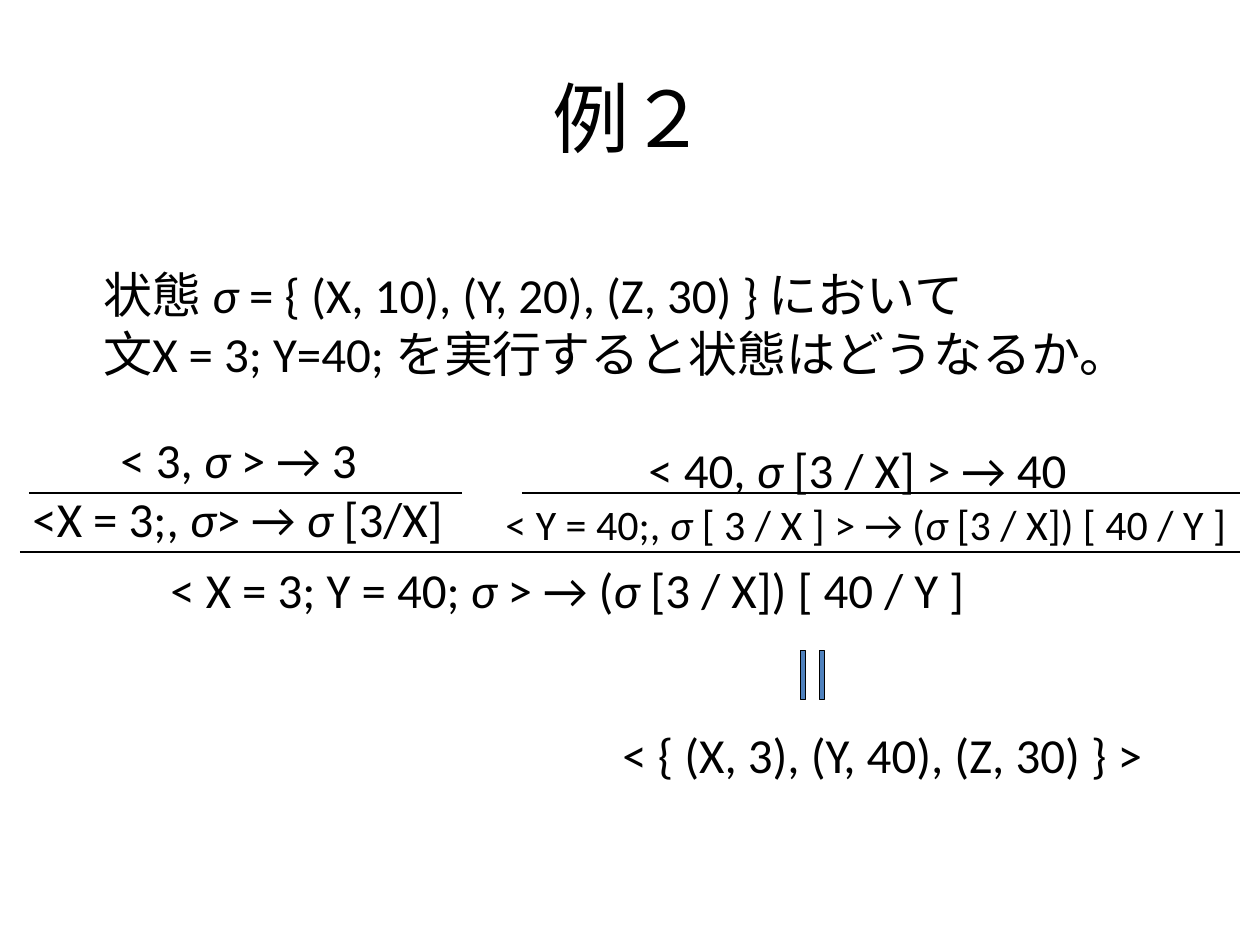
"""Build the slide that derives the state after two assignments."""
from lxml import etree
from pptx import Presentation
from pptx.dml.color import RGBColor
from pptx.enum.shapes import MSO_CONNECTOR, MSO_SHAPE
from pptx.enum.text import MSO_ANCHOR, PP_ALIGN
from pptx.oxml.ns import qn
from pptx.util import Emu, Pt

STRAIGHT = MSO_CONNECTOR.STRAIGHT
EQUAL_SIGN = MSO_SHAPE.MATH_EQUAL
TOP, MIDDLE = MSO_ANCHOR.TOP, MSO_ANCHOR.MIDDLE
LEFT, CENTER = PP_ALIGN.LEFT, PP_ALIGN.CENTER
PX = 914400 // 126
FONT = "Calibri"
BLACK, BLUE = "000000", "4F81BD"
SIGMA = "σ"

TITLE = ((63, 38, 1134, 158), [("例２", 44, 0)])
# Each line holds its wording, size in points and indent in px.
FORMULAS = [
    ((91, 258, 1056, 131), [
        ("状態 σ = { (X, 10), (Y, 20), (Z, 30) } において", 28, 0),
        ("文X = 3; Y=40; を実行すると状態はどうなるか。", 28, 0)]),
    ((20, 423, 462, 131), [
        ("< 3, σ > → 3", 28, 88),
        ("<X = 3;, σ> → σ [3/X]", 28, 0)]),
    ((493, 433, 767, 123), [
        ("< 40, σ [3 / X] > → 40", 28, 143),
        ("< Y = 40;, σ [ 3 / X ] > → (σ [3 / X]) [ 40 / Y ]", 24, 0)]),
    ((158, 553, 861, 72), [
        ("< X = 3; Y = 40; σ > → (σ [3 / X]) [ 40 / Y ]", 28, 0)]),
    ((610, 718, 549, 72), [("< { (X, 3), (Y, 40), (Z, 30) } >", 28, 0)]),
]
INFERENCE_BARS = [(29, 462, 493), (522, 1240, 493), (20, 1240, 552)]
EQUALITY = (779, 650, 67, 50)


def px(*lengths):
    return [Emu(length * PX) for length in lengths]


def color(value):
    return RGBColor.from_string(value)


def outline(part):
    part.line.color.rgb = color(BLACK)
    part.line.width = Pt(0.75)


def add_run(paragraph, wording, size):
    run = paragraph.add_run()
    run.text = wording
    run.font.name = FONT
    run.font.size = Pt(size)
    run.font.italic = wording == SIGMA
    run.font.color.rgb = color(BLACK)


def add_text(slide, place, lines, align=LEFT, anchor=TOP):
    frame = slide.shapes.add_textbox(*px(*place)).text_frame
    frame.word_wrap = True
    frame.vertical_anchor = anchor
    for index, (wording, size, indent) in enumerate(lines):
        paragraph = frame.add_paragraph() if index else frame.paragraphs[0]
        paragraph.alignment = align
        if indent:
            paragraph._p.get_or_add_pPr().set("marL", str(indent * PX))
        before, sigma, after = wording.partition(SIGMA)
        while sigma:
            add_run(paragraph, before, size)
            add_run(paragraph, sigma, size)
            before, sigma, after = after.partition(SIGMA)
        add_run(paragraph, before, size)


def add_bar(slide, start, end, y):
    bar = slide.shapes.add_connector(STRAIGHT, *px(start, y, end, y))
    outline(bar)
    etree.SubElement(bar._element.spPr, qn("a:effectLst"))


def add_equality(slide):
    equality = slide.shapes.add_shape(EQUAL_SIGN, *px(*EQUALITY))
    equality.shadow.inherit = False
    equality.rotation = 270
    equality.adjustments[0] = 0.1
    equality.adjustments[1] = 0.28
    equality.fill.solid()
    equality.fill.fore_color.rgb = color(BLUE)
    outline(equality)


def main():
    deck = Presentation()
    deck.slide_width, deck.slide_height = px(1260, 945)
    slide = deck.slides.add_slide(deck.slide_layouts[6])
    add_text(slide, *TITLE, CENTER, MIDDLE)
    for place, lines in FORMULAS:
        add_text(slide, place, lines)
    for bar in INFERENCE_BARS:
        add_bar(slide, *bar)
    add_equality(slide)
    deck.save("out.pptx")


if __name__ == "__main__":
    main()
